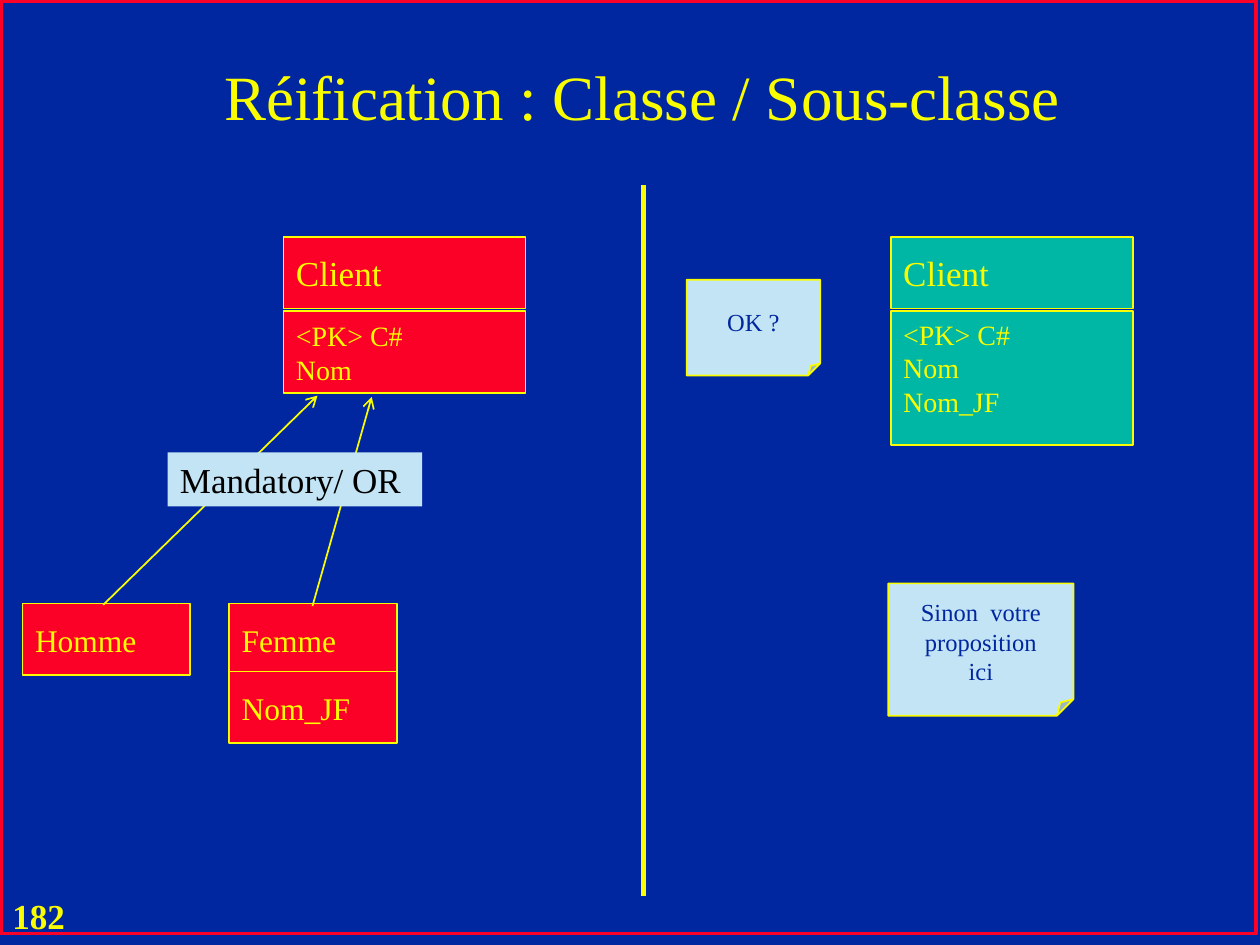
from lxml import etree
from pptx import Presentation
from pptx.dml.color import RGBColor
from pptx.enum import shapes, text
from pptx.oxml import ns
from pptx.util import Inches, Pt

NAVY = RGBColor(0x00, 0x27, 0x9F)
YELLOW = RGBColor(0xFA, 0xFD, 0x00)
RED = RGBColor(0xFC, 0x01, 0x28)
TEAL = RGBColor(0x00, 0xB7, 0xA5)
PALE = RGBColor(0xC3, 0xE4, 0xF5)
BLACK = RGBColor(0, 0, 0)

FONT = "Times New Roman"
RECT = shapes.MSO_SHAPE.RECTANGLE
NOTE = shapes.MSO_SHAPE.FOLDED_CORNER
LEFT, CENTER = text.PP_ALIGN.LEFT, text.PP_ALIGN.CENTER
TOP, MIDDLE = text.MSO_ANCHOR.TOP, text.MSO_ANCHOR.MIDDLE


def write(shape, lines, size=18, color=YELLOW, bold=False, align=LEFT, anchor=MIDDLE):
    frame = shape.text_frame
    frame.word_wrap = True
    frame.vertical_anchor = anchor
    frame.text = "\n".join(lines)
    for para in frame.paragraphs:
        para.alignment = align
        font = para.font
        font.name, font.size, font.bold = FONT, Pt(size), bold
        font.color.rgb = color


def label(slide, box, words, **style):
    write(slide.shapes.add_textbox(*map(Inches, box)), [words], **style)


def panel(slide, box, fill=None, line=YELLOW, width=1, kind=RECT):
    shape = slide.shapes.add_shape(kind, *map(Inches, box))
    shape.shadow.inherit = False
    if fill is None:
        shape.fill.background()
    else:
        shape.fill.solid()
        shape.fill.fore_color.rgb = fill
    if line is None:
        shape.line.fill.background()
    else:
        shape.line.color.rgb = line
        shape.line.width = Pt(width)
    return shape


def stroke(slide, start, end, width=1, arrow=False):
    line = slide.shapes.add_connector(
        shapes.MSO_CONNECTOR.STRAIGHT, *map(Inches, start + end))
    line.line.color.rgb = YELLOW
    line.line.width = Pt(width)
    props = line._element.spPr
    if arrow:
        head = etree.SubElement(props.find(ns.qn("a:ln")), ns.qn("a:headEnd"))
        head.set("type", "arrow")
    etree.SubElement(props, ns.qn("a:effectLst"))


def client(slide, left, top, fill, fields, height, anchor):
    write(panel(slide, (left, top, 1.92, 0.57), fill), ["Client"], size=20)
    body = panel(slide, (left, top + 0.59, 1.92, height), fill)
    write(body, fields, size=16, anchor=anchor)


def child(slide, left, top, names):
    for row, name in enumerate(names):
        write(panel(slide, (left, top + row * 0.54, 1.33, 0.57), RED), [name])


def note(slide, box, lines):
    shape = panel(slide, box, PALE, kind=NOTE)
    shape_list = shape._element.spPr.find(ns.qn("a:prstGeom")).find(ns.qn("a:avLst"))
    fold = etree.SubElement(shape_list, ns.qn("a:gd"))
    fold.set("name", "adj")
    fold.set("fmla", "val 12500")
    write(shape, lines, size=14, color=NAVY, align=CENTER)


def frame(slide):
    label(slide, (0, 7.05, 0.69, 0.43), "182", size=20, bold=True, anchor=TOP)
    panel(slide, (0.01, 0.01, 9.96, 7.4), line=RED, width=2)
    label(slide, (0.85, 0.13, 8.5, 1.25), "Réification : Classe / Sous-classe",
          size=36, align=CENTER)
    stroke(slide, (5.11, 1.47), (5.11, 7.11), width=3)


def tree(slide, left, top):
    client(slide, left + 2.07, top, RED, ["<PK> C#", "Nom"], 0.65, MIDDLE)
    child(slide, left, top + 2.91, ["Homme"])
    child(slide, left + 1.64, top + 2.91, ["Femme", "Nom_JF"])
    stroke(slide, (left + 2.34, top + 1.26), (left + 0.64, top + 2.92), arrow=True)
    stroke(slide, (left + 2.77, top + 1.27), (left + 2.3, top + 2.93), arrow=True)
    rule = panel(slide, (left + 1.15, top + 1.71, 2.02, 0.43), PALE, line=None)
    write(rule, ["Mandatory/ OR"], size=20, color=BLACK, anchor=TOP)


def answer(slide, left, top):
    client(slide, left + 1.62, top, TEAL, ["<PK> C#", "Nom", "Nom_JF"], 1.06, TOP)
    note(slide, (left + 1.6, top + 2.75, 1.47, 1.05),
         ["Sinon  votre", "proposition", "ici"])
    note(slide, (left, top + 0.34, 1.06, 0.76), ["OK ?"])


def main():
    deck = Presentation()
    deck.slide_width, deck.slide_height = Inches(10), Inches(7.5)
    slide = deck.slides.add_slide(deck.slide_layouts[6])
    slide.background.fill.solid()
    slide.background.fill.fore_color.rgb = NAVY
    frame(slide)
    tree(slide, 0.18, 1.88)
    answer(slide, 5.45, 1.88)
    deck.save("out.pptx")


if __name__ == "__main__":
    main()
